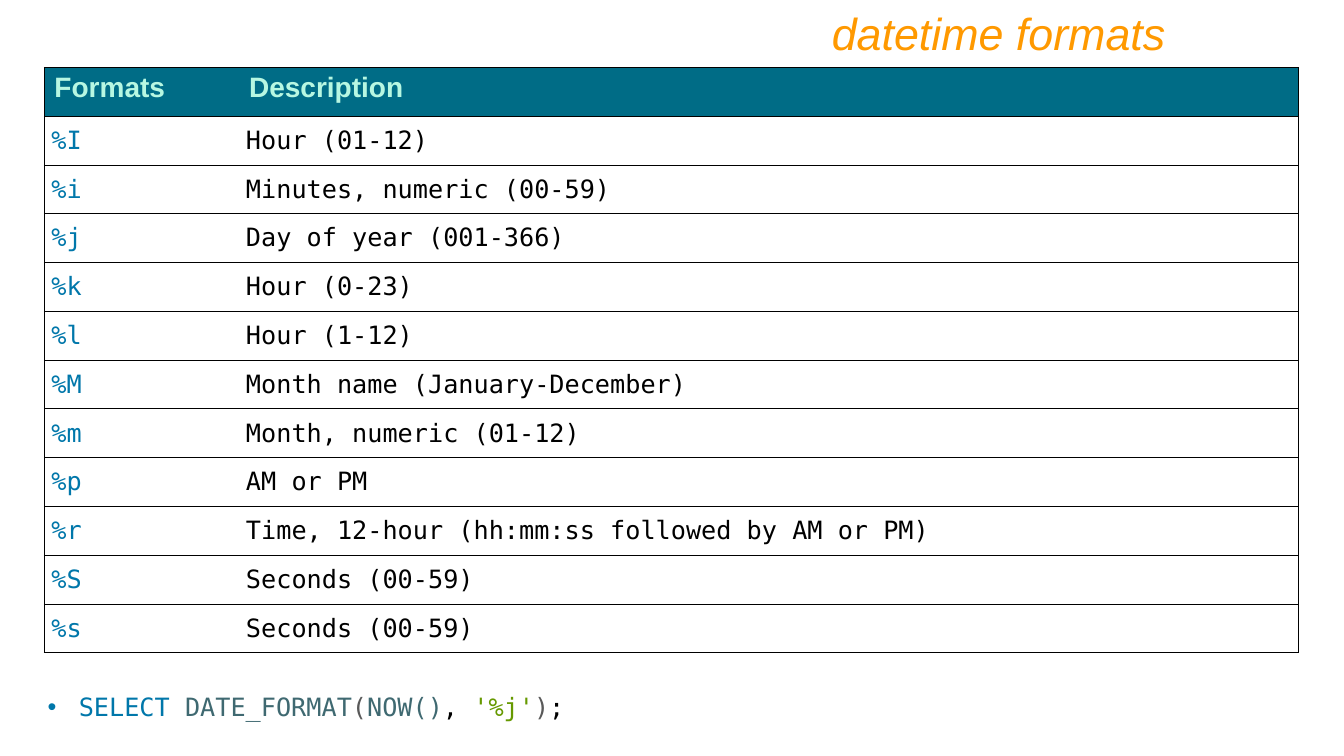
from lxml import etree
from pptx import Presentation
from pptx.dml.color import RGBColor
from pptx.enum.text import MSO_ANCHOR, PP_ALIGN
from pptx.oxml.ns import qn
from pptx.util import Inches, Pt

MIDDLE, TOP = MSO_ANCHOR.MIDDLE, MSO_ANCHOR.TOP
LEFT, RIGHT = PP_ALIGN.LEFT, PP_ALIGN.RIGHT
TITLE_ONLY = 5
WIDTH, HEIGHT = 13.33, 7.5
SANS, MONO = "Arial", "DejaVu Sans Mono"
BLUE, SLATE, GREY, BLACK, GREEN = "0077AA", "3F6971", "595959", "000000", "669900"
ORANGE, MINT, TEAL, WHITE = "FF9900", "B7F7E2", "006C86", "FFFFFF"
COLUMN_WIDTHS = (1.93, 10.51)
ROW_HEIGHT = 0.484
HEADINGS = ("Formats", "Description")
FORMATS = (
    ("%I", "Hour (01-12)"),
    ("%i", "Minutes, numeric (00-59)"),
    ("%j", "Day of year (001-366)"),
    ("%k", "Hour (0-23)"),
    ("%l", "Hour (1-12)"),
    ("%M", "Month name (January-December)"),
    ("%m", "Month, numeric (01-12)"),
    ("%p", "AM or PM"),
    ("%r", "Time, 12-hour (hh:mm:ss followed by AM or PM)"),
    ("%S", "Seconds (00-59)"),
    ("%s", "Seconds (00-59)"),
)
QUERY = (
    ("SELECT ", BLUE),
    ("DATE_FORMAT", SLATE),
    ("(", GREY),
    ("NOW()", SLATE),
    (", ", BLACK),
    ("'%j'", GREEN),
    (")", GREY),
    (";", BLACK),
)


def paint(target, colour):
    """Give a font or a fill one hex colour."""
    if hasattr(target, "solid"):
        target.solid()
        target.fore_color.rgb = RGBColor.from_string(colour)
    else:
        target.color.rgb = RGBColor.from_string(colour)


def add_span(para, text, colour, size, font, bold=False, italic=False):
    """Append one formatted run to a paragraph."""
    span = para.add_run()
    span.text = text
    span.font.name, span.font.size = font, Pt(size)
    span.font.bold, span.font.italic = bold, italic
    paint(span.font, colour)


def place(box, left, top, width, height):
    """Position a box by shares of the slide's size."""
    box.left, box.width = Inches(left * WIDTH), Inches(width * WIDTH)
    box.top, box.height = Inches(top * HEIGHT), Inches(height * HEIGHT)


def add_title(page, text):
    """Fill and format the title placeholder."""
    title = page.shapes.title
    place(title, 0.125, 0, 0.75, 0.085)
    title.text_frame.vertical_anchor = MIDDLE
    para = title.text_frame.paragraphs[0]
    para.alignment = RIGHT
    add_span(para, text, ORANGE, 32, SANS, italic=True)


def set_borders(cell, visible):
    """Draw thin black lines on the visible sides and clear the others."""
    properties = cell._tc.get_or_add_tcPr()
    for index, side in enumerate("LRTB"):
        line = etree.Element(qn(f"a:ln{side}"), w=str(Pt(0.75)))
        if side in visible:
            fill = etree.SubElement(line, qn("a:solidFill"))
            etree.SubElement(fill, qn("a:srgbClr"), val=BLACK)
        else:
            etree.SubElement(line, qn("a:noFill"))
        properties.insert(index, line)


def fill_cell(cell, text, column, is_heading):
    """Write and format one heading or body cell."""
    paint(cell.fill, TEAL if is_heading else WHITE)
    set_borders(cell, "LTB" if column == 0 else "RTB")
    para = cell.text_frame.paragraphs[0]
    if is_heading:
        cell.vertical_anchor = TOP
        add_span(para, text, MINT, 20, SANS, bold=True)
    else:
        cell.vertical_anchor = MIDDLE
        cell.margin_left = cell.margin_right = Inches(0.07)
        cell.margin_top = cell.margin_bottom = 0
        add_span(para, text, BLUE if column == 0 else BLACK, 18, MONO)


def add_format_table(page):
    """Add the table of format codes and their descriptions."""
    rows = (HEADINGS, *FORMATS)
    table = page.shapes.add_table(
        len(rows), len(HEADINGS), Inches(0.44), Inches(0.67),
        Inches(sum(COLUMN_WIDTHS)), Inches(ROW_HEIGHT * len(rows)),
    ).table
    table.horz_banding = False
    for column, width in zip(table.columns, COLUMN_WIDTHS):
        column.width = Inches(width)
    for row_index, texts in enumerate(rows):
        table.rows[row_index].height = Inches(ROW_HEIGHT)
        for column_index, text in enumerate(texts):
            cell = table.cell(row_index, column_index)
            fill_cell(cell, text, column_index, row_index == 0)


def add_query(page):
    """Add the bulleted sample query with coloured syntax."""
    box = page.shapes.add_textbox(0, 0, 0, 0)
    place(box, 0.028, 0.908, 0.725, 0.053)
    box.text_frame.word_wrap = True
    para = box.text_frame.paragraphs[0]
    para.alignment = LEFT
    properties = para._p.get_or_add_pPr()
    indent = Inches(0.31)
    properties.set("marL", str(indent))
    properties.set("indent", str(-indent))
    etree.SubElement(properties, qn("a:buFont"), typeface=SANS)
    etree.SubElement(properties, qn("a:buChar"), char="•")
    for text, colour in QUERY:
        add_span(para, text, colour, 18, MONO)


def main():
    """Build the slide and save the deck."""
    deck = Presentation()
    deck.slide_width, deck.slide_height = Inches(WIDTH), Inches(HEIGHT)
    page = deck.slides.add_slide(deck.slide_layouts[TITLE_ONLY])
    add_format_table(page)
    add_title(page, "datetime formats")
    add_query(page)
    deck.save("out.pptx")


if __name__ == "__main__":
    main()
